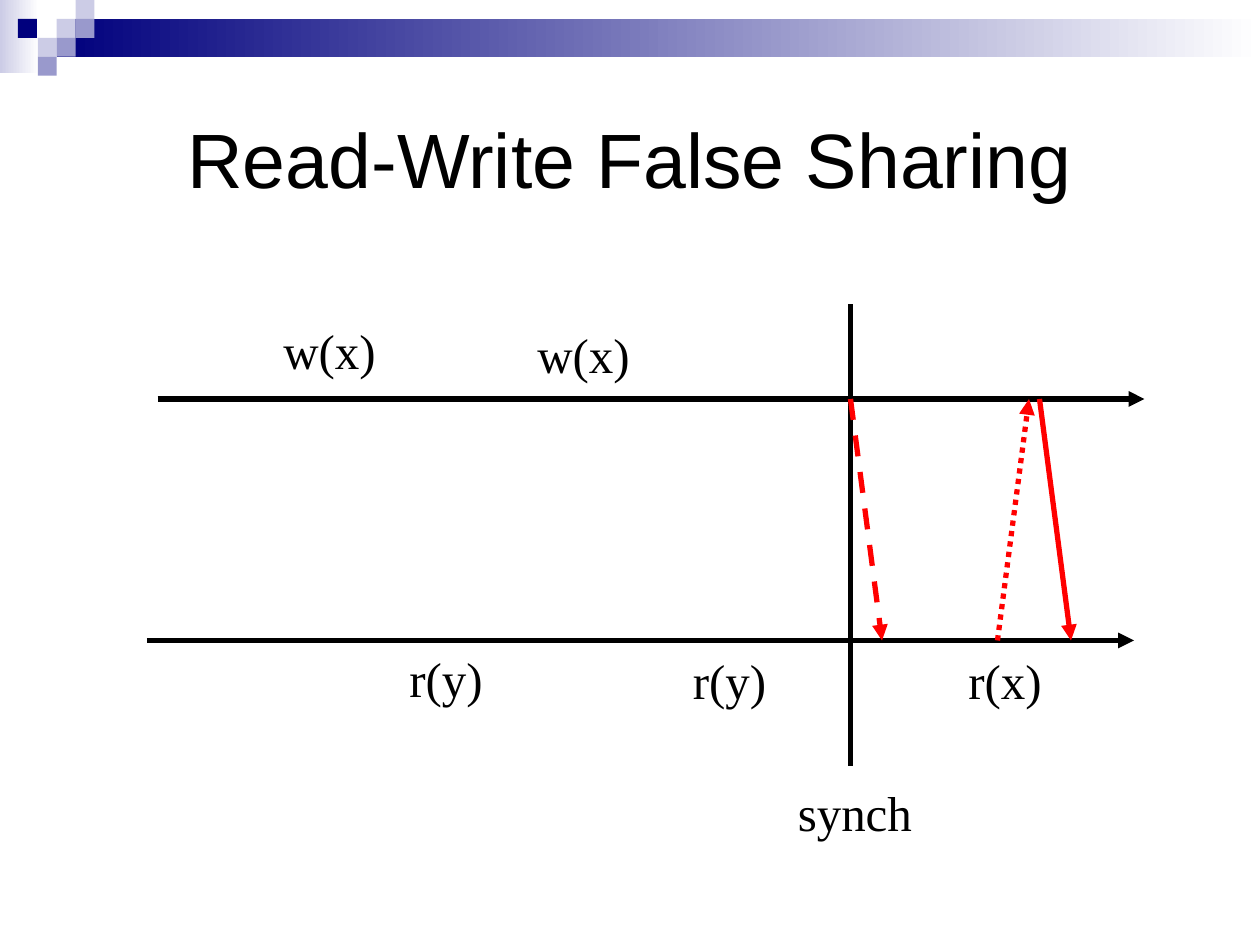
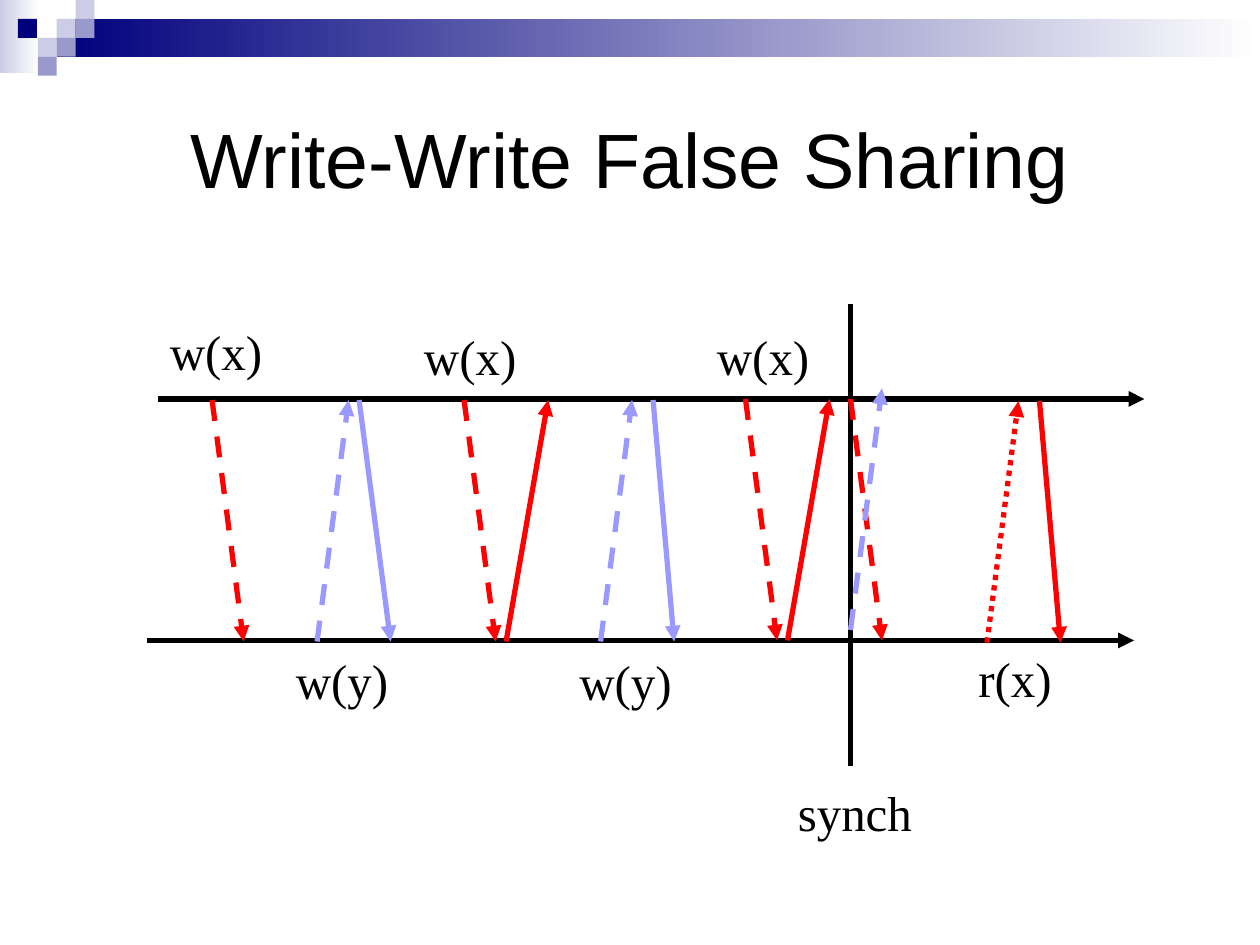
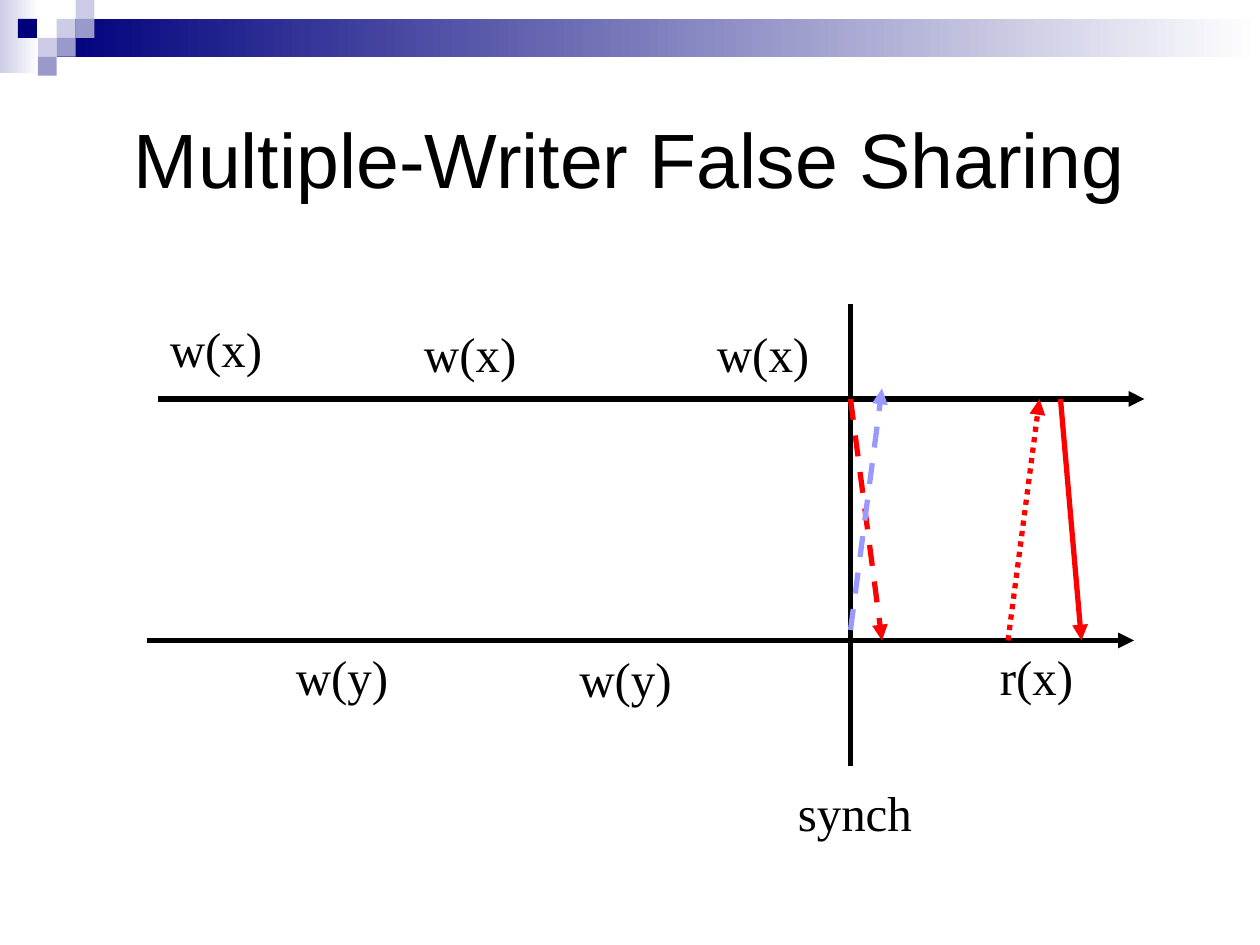
from lxml import etree
from pptx import Presentation
from pptx import util as u
from pptx.dml.color import RGBColor
from pptx.enum import dml, shapes, text
from pptx.oxml.ns import qn

BLACK = RGBColor(0x00, 0x00, 0x00)
WHITE = RGBColor(0xFF, 0xFF, 0xFF)
NAVY = RGBColor(0x00, 0x00, 0x7D)
MID = RGBColor(0x99, 0x99, 0xCC)
PALE = RGBColor(0xCC, 0xCC, 0xE6)
RED = RGBColor(0xFF, 0x00, 0x00)
LILAC = RGBColor(0x99, 0x99, 0xFF)

DASH = dml.MSO_LINE.DASH
DOT = dml.MSO_LINE.ROUND_DOT

WIDE, HIGH = u.Inches(10), u.Inches(7.5)
CELL = WIDE / 120        # grid of 120 columns by 90 rows
TILE = 0.15              # side of a corner tile, inches
TOP, LOW = 38, 61        # rows of the two time lines
SYNC = 81                # column of the synch line
WIDTHS = {"w": 0.94, "r": 0.79, "s": 1.14}    # label width by first letter


def grid(n):
    return round(n * CELL)


def write(frame, words, font="Times New Roman", size=28, color=BLACK,
          align=None, anchor=None, wrap=False):
    frame.text = words
    frame.word_wrap = wrap
    if anchor is not None:
        frame.vertical_anchor = anchor
    para = frame.paragraphs[0]
    para.alignment = align
    face = para.runs[0].font
    face.name, face.size = font, u.Pt(size)
    face.color.rgb = color


def block(slide, x, y, w, h, color, fade=False):
    """Draw a borderless rectangle, in inches, plain or fading to white."""
    box = slide.shapes.add_shape(shapes.MSO_SHAPE.RECTANGLE,
                                 *map(u.Inches, (x, y, w, h)))
    box.shadow.inherit = False
    box.line.fill.background()
    if fade:
        box.fill.gradient()
        box.fill.gradient_angle = 180
        for stop, tone in zip(box.fill.gradient_stops, (WHITE, color)):
            stop.color.rgb = tone
    else:
        box.fill.solid()
        box.fill.fore_color.rgb = color
    return box


def wire(slide, start, end, color=BLACK, dash=None, head=True):
    """Draw a line between two (column, row) points."""
    line = slide.shapes.add_connector(shapes.MSO_CONNECTOR.STRAIGHT,
                                      *map(grid, start + end))
    line.line.color.rgb = color
    line.line.width = u.Pt(3)
    if dash:
        line.line.dash_style = dash
    if head:
        etree.SubElement(line.get_or_add_ln(), qn("a:tailEnd"), type="triangle")
    etree.SubElement(line.element.spPr, qn("a:effectLst"))


def drop(slide, a, b, color=RED, dash=None, shift=0):
    """Message from the upper time line to the lower one."""
    wire(slide, (a, TOP + shift), (b, LOW + shift), color, dash)


def rise(slide, a, b, color=RED, dash=None, shift=0):
    """Message from the lower time line to the upper one."""
    wire(slide, (a, LOW + shift), (b, TOP + shift), color, dash)


def label(slide, words, col, row):
    box = slide.shapes.add_textbox(grid(col), grid(row),
                                   u.Inches(WIDTHS[words[0]]), u.Inches(0.57))
    write(box.text_frame, words)
    box.text_frame.auto_size = text.MSO_AUTO_SIZE.SHAPE_TO_FIT_TEXT


def brand(layout, slide):
    """Draw the top band and move it to the layout, behind its placeholders."""
    parts = [block(slide, 0, 0, 0.31, 0.58, PALE, fade=True),
             block(slide, 3 * TILE, TILE, 9.55, 2 * TILE, NAVY, fade=True)]
    tiles = [(3, 1, PALE), (4, 0, PALE), (4, 1, MID), (2, 2, PALE),
             (0.95, 1, NAVY), (3, 2, MID), (2, 3, MID)]
    parts += [block(slide, c * TILE, r * TILE, TILE, TILE, tone)
              for c, r, tone in tiles]
    for place, part in enumerate(parts, 2):
        layout.shapes.element.insert(place, part.element)
    title = layout.placeholders[0]
    title.left, title.top = grid(6), grid(6)
    title.width, title.height = grid(108), grid(18)


def scene(slide, title, labels):
    """Title, time lines, synch line and labels."""
    write(slide.shapes.title.text_frame, title, font="Arial", size=44,
          align=text.PP_ALIGN.CENTER, anchor=text.MSO_ANCHOR.MIDDLE, wrap=True)
    wire(slide, (15, TOP), (109, TOP))
    wire(slide, (14, LOW), (108, LOW))
    wire(slide, (SYNC, 29), (SYNC, 73), head=False)
    for item in labels + [("synch", 74.8, 73.9)]:
        label(slide, *item)
    drop(slide, SYNC, SYNC + 3, dash=DASH)


def main():
    deck = Presentation()
    deck.slide_width, deck.slide_height = WIDE, HIGH
    layout = deck.slide_layouts[5]
    read, both, many = [deck.slides.add_slide(layout) for _ in range(3)]
    brand(layout, read)

    # Read-write
    scene(read, "Read-Write False Sharing", [
        ("w(x)", 25.8, 29.9), ("w(x)", 50, 30.3), ("r(y)", 37.8, 61.2),
        ("r(y)", 64.8, 61.35), ("r(x)", 91.05, 61.35)])
    rise(read, 95, 98, dash=DOT)
    drop(read, 99, 102)

    # Write-write
    scene(both, "Write-Write False Sharing", [
        ("w(x)", 15, 30), ("w(x)", 39.2, 30.5), ("w(x)", 67.1, 30.5),
        ("w(y)", 27, 61.35), ("w(y)", 54, 61.45), ("r(x)", 92, 61.2)])
    for col, shift in ((20.2, 0.1), (44.2, 0.1), (71, 0)):
        drop(both, col, col + 3, dash=DASH, shift=shift)
    for col, shift in ((48.2, 0.1), (75, 0)):
        rise(both, col, col + 4, shift=shift)
    for ask, reply, end in ((30.2, 34.2, 37.2), (57.2, 62.2, 64.2)):
        rise(both, ask, ask + 3, LILAC, DASH, 0.1)
        drop(both, reply, end, LILAC, shift=0.1)
    rise(both, SYNC, SYNC + 3, LILAC, DASH, -1)
    rise(both, 94, 97, dash=DOT, shift=0.2)
    drop(both, 99, 101, shift=0.2)

    # Multiple writers
    scene(many, "Multiple-Writer False Sharing", [
        ("w(x)", 15, 29.75), ("w(x)", 39.2, 30.2), ("w(x)", 67.1, 30.2),
        ("w(y)", 27, 61), ("w(y)", 54, 61.2), ("r(x)", 94.05, 61)])
    rise(many, SYNC, SYNC + 3, LILAC, DASH, -1)
    rise(many, 96, 99, dash=DOT)
    drop(many, 101, 103)

    deck.save("out.pptx")


if __name__ == "__main__":
    main()
